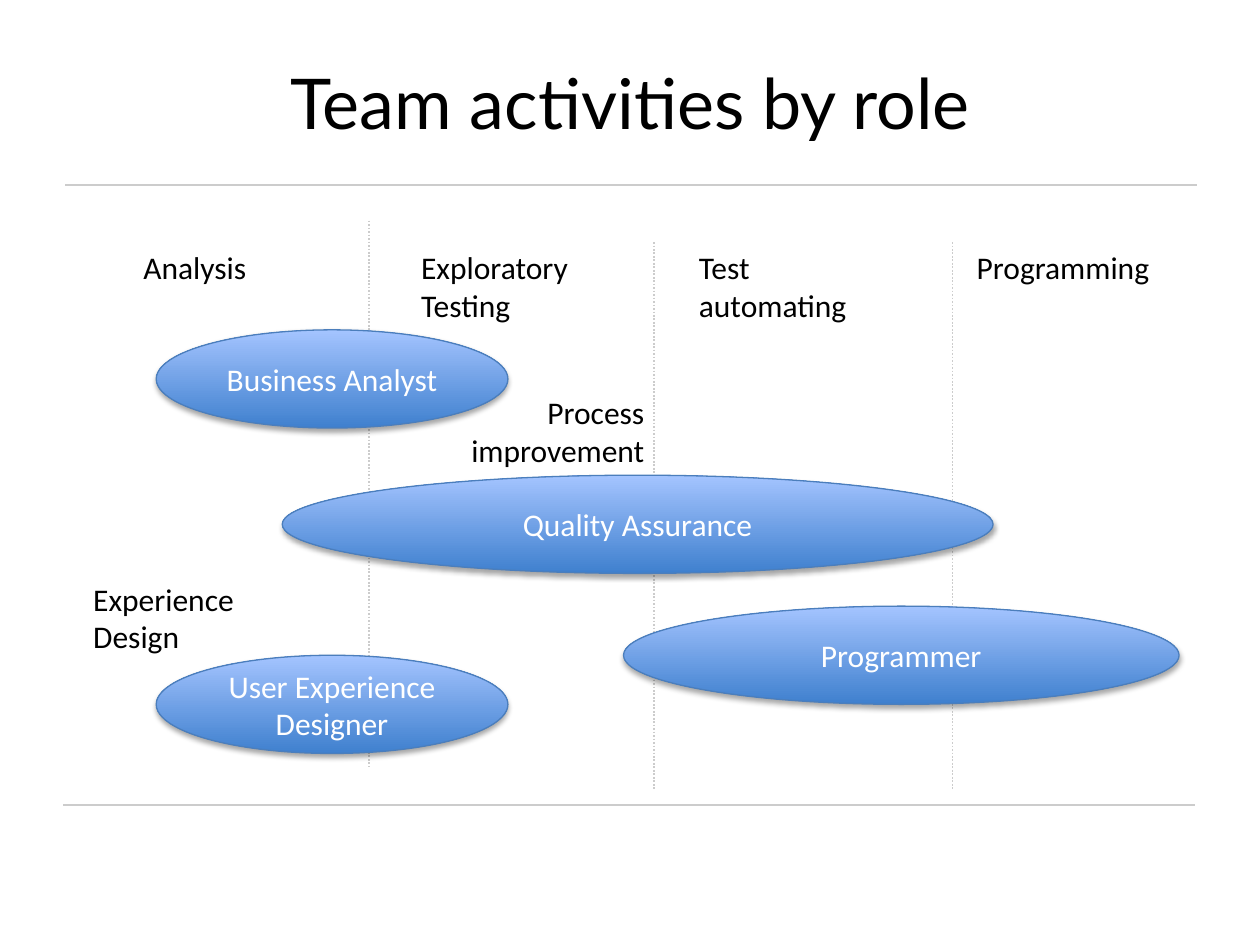
from dataclasses import dataclass

from lxml.etree import SubElement
from pptx import Presentation
from pptx.dml.color import RGBColor
from pptx.enum.dml import MSO_LINE
from pptx.enum.shapes import MSO_CONNECTOR, MSO_SHAPE
from pptx.enum.text import MSO_ANCHOR, MSO_AUTO_SIZE, PP_ALIGN
from pptx.oxml.ns import qn
from pptx.util import Cm, Pt

TEXT, WHITE, GREY = "000000", "FFFFFF", "CCCCCC"
ROLE_BOTTOM, ROLE_TOP, ROLE_EDGE = "3F80CE", "A4C4FF", "4B7EBC"
HEADING_TOP, HEADING_LEFT, HEADING_STEP = 4.88, 2.64, 5.6
DIVIDER_LENGTH, ROLE_HEIGHT = 11.02, 1.98


@dataclass
class Line:
    x1: float
    y1: float
    x2: float
    y2: float
    dotted: bool = False


@dataclass
class Label:
    text: str
    left: float
    top: float
    width: float
    height: float = 1.8
    align: PP_ALIGN = PP_ALIGN.LEFT


@dataclass
class Role:
    name: str
    left: float
    top: float
    width: float


RULES = [Line(1.27, 16.23, 24.08, 16.23), Line(1.32, 3.73, 24.13, 3.73)]
DIVIDERS = [
    Line(x, y, x, y + DIVIDER_LENGTH, True)
    for x, y in [(7.44, 4.45), (19.2, HEADING_TOP), (13.18, HEADING_TOP)]
]
HEADINGS = [
    Label(text, HEADING_LEFT + i * HEADING_STEP, HEADING_TOP, width, height)
    for i, (text, width, height) in enumerate([
        ("Analysis", 3.05, 1.02),
        ("Exploratory Testing", 4.34, 1.8),
        ("Test automating", 4.34, 1.8),
        ("Programming", 4.34, 1.02),
    ])
]
ROLES = [
    Role("Business Analyst", 3.15, 6.65, 7.09),
    Role("Quality Assurance", 5.69, 9.58, 14.33),
    Role("Programmer", 12.57, 12.22, 11.2),
    Role("User Experience Designer", 3.15, 13.21, 7.09),
]
NOTES = [
    Label("Experience Design", 1.63, 11.56, 3.66),
    Label("Process improvement", 9.02, 7.8, 4.22, align=PP_ALIGN.RIGHT),
]


def rgb(color: str) -> RGBColor:
    return RGBColor.from_string(color)


def set_text(tf, text: str, color: str, align: PP_ALIGN,
             size: float = 18, font: str = "Calibri") -> None:
    tf.word_wrap = True
    p = tf.paragraphs[0]
    p.text = text
    p.alignment = align
    p.font.size = Pt(size)
    p.font.name = font
    p.font.color.rgb = rgb(color)


def add_line(s, line: Line) -> None:
    c = s.shapes.add_connector(MSO_CONNECTOR.STRAIGHT, Cm(line.x1), Cm(line.y1),
                               Cm(line.x2), Cm(line.y2))
    c.line.color.rgb = rgb(GREY)
    c.line.width = Pt(1)
    if line.dotted:
        c.line.dash_style = MSO_LINE.ROUND_DOT
    SubElement(c._element.spPr, qn("a:effectLst"))


def add_label(s, label: Label) -> None:
    tb = s.shapes.add_textbox(Cm(label.left), Cm(label.top),
                              Cm(label.width), Cm(label.height))
    set_text(tb.text_frame, label.text, TEXT, label.align)
    tb.text_frame.auto_size = MSO_AUTO_SIZE.SHAPE_TO_FIT_TEXT


def add_shadow(sp) -> None:
    sp.shadow.inherit = False
    effects = sp._element.spPr.find(qn("a:effectLst"))
    shadow = SubElement(effects, qn("a:outerShdw"), blurRad=str(Pt(3.1)),
                        dist=str(Pt(1.8)), dir="5400000", rotWithShape="0")
    color = SubElement(shadow, qn("a:srgbClr"), val="000000")
    SubElement(color, qn("a:alpha"), val="35000")


def add_role(s, role: Role) -> None:
    sp = s.shapes.add_shape(MSO_SHAPE.OVAL, Cm(role.left), Cm(role.top),
                            Cm(role.width), Cm(ROLE_HEIGHT))
    sp.fill.gradient()
    sp.fill.gradient_angle = 90
    for stop, position, color in zip(sp.fill.gradient_stops, (0, 1),
                                     (ROLE_BOTTOM, ROLE_TOP)):
        stop.position = position
        stop.color.rgb = rgb(color)
    sp.line.color.rgb = rgb(ROLE_EDGE)
    sp.line.width = Pt(0.75)
    add_shadow(sp)
    sp.text_frame.vertical_anchor = MSO_ANCHOR.MIDDLE
    set_text(sp.text_frame, role.name, WHITE, PP_ALIGN.CENTER)


def main() -> None:
    prs = Presentation()
    prs.slide_width, prs.slide_height = Cm(25.4), Cm(19.05)
    s = prs.slides.add_slide(prs.slide_layouts[5])
    title = s.shapes.title
    title.left, title.top = Cm(1.27), Cm(0.76)
    title.width, title.height = Cm(22.86), Cm(2.57)
    title.text_frame.vertical_anchor = MSO_ANCHOR.MIDDLE
    set_text(title.text_frame, "Team activities by role", TEXT,
             PP_ALIGN.CENTER, 40, "Lato")
    for line in RULES + DIVIDERS:
        add_line(s, line)
    for heading in HEADINGS:
        add_label(s, heading)
    for role in ROLES:
        add_role(s, role)
    for note in NOTES:
        add_label(s, note)
    prs.save("out.pptx")


if __name__ == "__main__":
    main()
